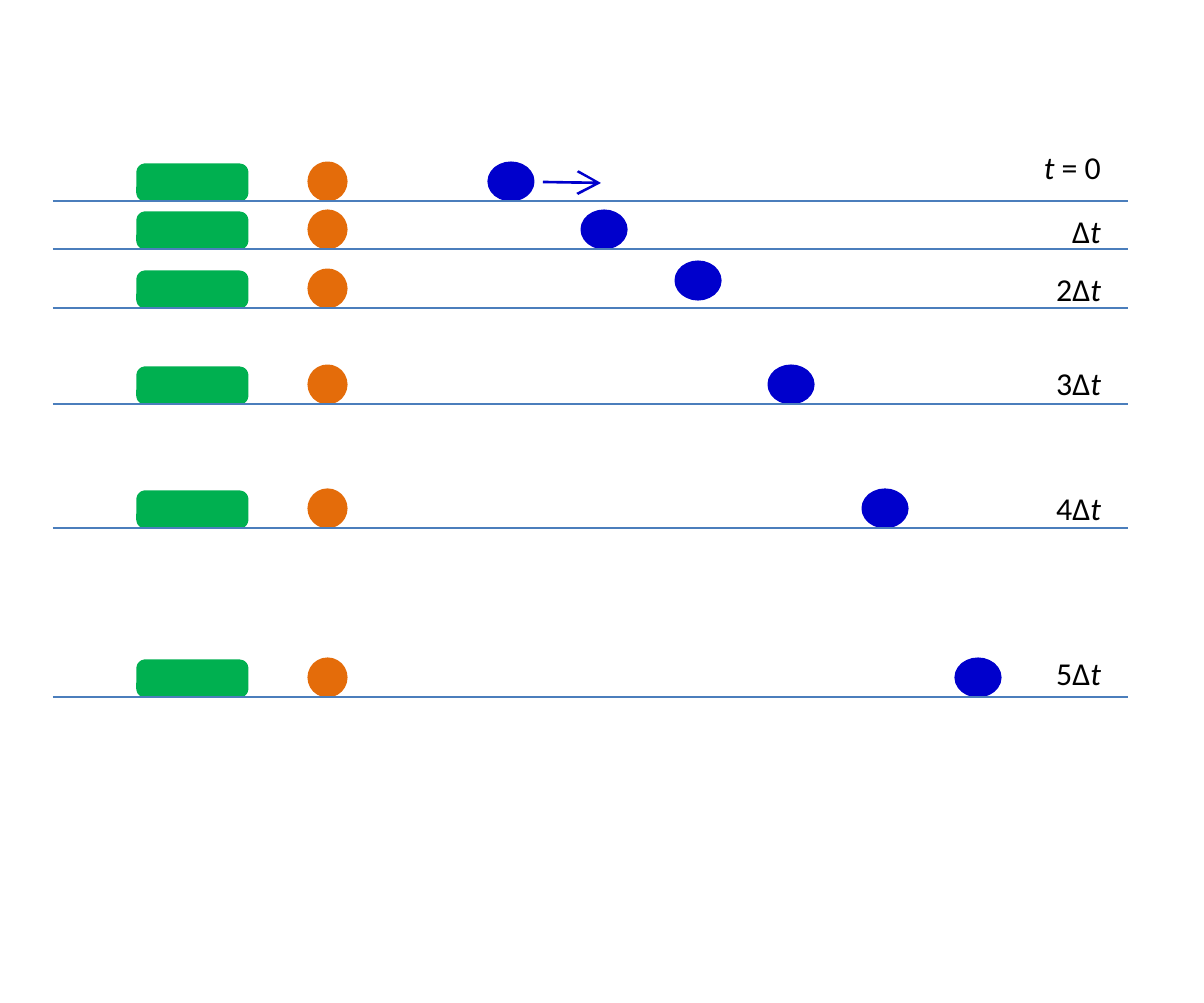
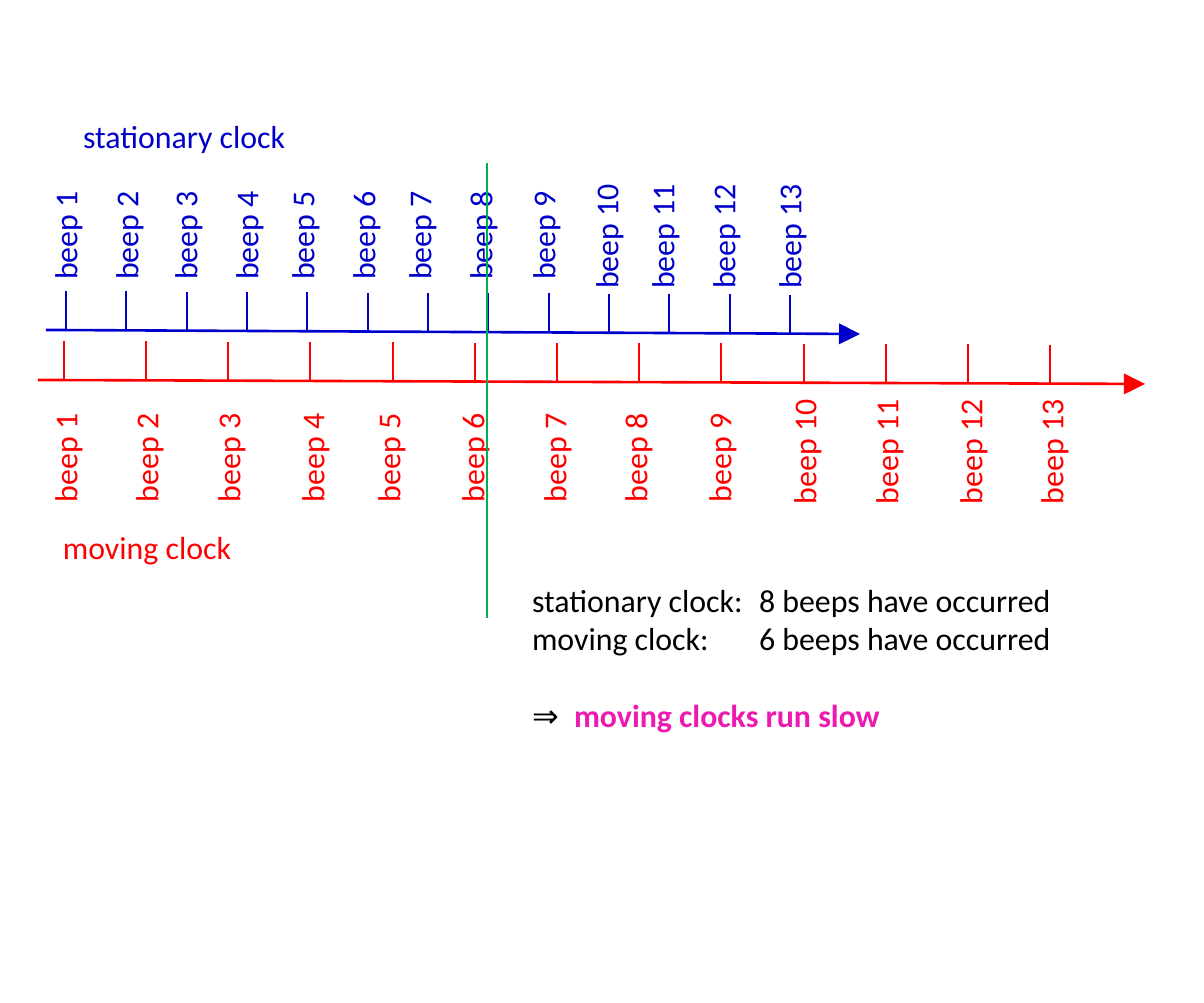
import dataclasses

import lxml.etree
import pptx
import pptx.dml.color
import pptx.enum.shapes
import pptx.enum.text
import pptx.oxml.ns
import pptx.util

SCALE = 914400 / 254.5  # EMU per pixel
SHAPE = pptx.enum.shapes.MSO_SHAPE
ALIGN = pptx.enum.text.PP_ALIGN
AUTO_SIZE = pptx.enum.text.MSO_AUTO_SIZE


@dataclasses.dataclass(frozen=True)
class Theme:
    blue: str = "0000CC"
    orange: str = "E46C0A"
    green: str = "00B050"
    floor: str = "4B7EBC"
    red: str = "FF0000"
    pink: str = "EC1AB0"
    black: str = "000000"
    font: str = "Calibri"
    text_size: float = 9
    outline: float = 2
    thin: float = 0.75


THEME = Theme()
TEXT_BOX_HEIGHT = 64

# Floor, lift of the moving ball, label top, label width, label spans
MOMENTS = [
    (201, 0, 135, 110, [("t", True), (" = 0", False)]),
    (249, 0, 199, 81, [("Δ", False), ("t", True)]),
    (308, 8, 257, 97, [("2Δ", False), ("t", True)]),
    (404, 0, 351, 97, [("3Δ", False), ("t", True)]),
    (528, 0, 476, 97, [("4Δ", False), ("t", True)]),
    (697, 0, 641, 97, [("5Δ", False), ("t", True)]),
]


@dataclasses.dataclass(frozen=True)
class Timeline:
    color: str
    start: tuple
    end: tuple
    first_tick: int
    last_tick: int
    tick_length: int
    label_centres: tuple
    short_label_y: int  # vertical centre for beeps 1 to 9
    long_label_y: int  # vertical centre from beep 10 on


STATIONARY = Timeline(
    THEME.blue, (46, 330), (860, 334), 66, 790, 39,
    (65, 126, 185, 246, 302, 363, 419, 480, 543, 606, 662, 723, 789), 235, 235)
MOVING = Timeline(
    THEME.red, (38, 380), (1145, 384), 64, 1050, 39,
    (65, 146, 228, 312, 388, 472, 554, 635, 719, 804, 886, 970, 1051), 457, 450)


def emu(pixels):
    return pptx.util.Emu(round(pixels * SCALE))


def rgb(color):
    return pptx.dml.color.RGBColor.from_string(color)


def set_values(target, values):
    for name, value in values.items():
        setattr(target, name, value)


def add_solid(page, kind, left, top, width, height, color):
    """Preset shape whose outline has the colour of its fill."""
    solid = page.shapes.add_shape(kind, *map(emu, (left, top, width, height)))
    solid.shadow.inherit = False
    solid.fill.solid()
    solid.fill.fore_color.rgb = rgb(color)
    solid.line.color.rgb = rgb(color)
    solid.line.width = pptx.util.Pt(THEME.outline)


def add_line(shapes, start, end, color, head=None):
    line = shapes.add_connector(pptx.enum.shapes.MSO_CONNECTOR.STRAIGHT,
                                *map(emu, (*start, *end)))
    line.line.color.rgb = rgb(color)
    line.line.width = pptx.util.Pt(THEME.thin)
    qn = pptx.oxml.ns.qn
    if head:
        outline = line.line._get_or_add_ln()
        lxml.etree.SubElement(outline, qn("a:tailEnd"), type=head)
    lxml.etree.SubElement(line._element.spPr, qn("a:effectLst"))


def add_span(para, text, color=THEME.black, **formats):
    span = para.add_run()
    span.text = text
    span.font.color.rgb = rgb(color)
    set_values(span.font, {"name": THEME.font,
                           "size": pptx.util.Pt(THEME.text_size), **formats})


def add_text_box(page, left, top, width, height=TEXT_BOX_HEIGHT, wrap=False):
    box = page.shapes.add_textbox(*map(emu, (left, top, width, height)))
    set_values(box.text_frame, {"word_wrap": wrap,
                                "auto_size": AUTO_SIZE.SHAPE_TO_FIT_TEXT})
    return box


def add_tab_stop(para, position):
    qn = pptx.oxml.ns.qn
    stops = lxml.etree.SubElement(para._p.get_or_add_pPr(), qn("a:tabLst"))
    lxml.etree.SubElement(stops, qn("a:tab"), pos=str(emu(position)), algn="l")


def add_moment(page, index, floor, lift, label_top, label_width, spans):
    """One instant: block and balls on a floor, with its time at the right."""
    rest = floor - 3  # the outline reaches down to the floor
    ball_left = round(491 + 93.4 * index)
    add_solid(page, SHAPE.ROUNDED_RECTANGLE, 140, rest - 31, 105, 31, THEME.green)
    add_solid(page, SHAPE.OVAL, 311, rest - 33, 33, 33, THEME.orange)
    add_solid(page, SHAPE.OVAL, ball_left, rest - 33 - lift, 40, 33, THEME.blue)
    add_line(page.shapes, (53, floor), (1128, floor), THEME.floor)

    label = add_text_box(page, 1126 - label_width, label_top, label_width)
    para = label.text_frame.paragraphs[0]
    para.alignment = ALIGN.RIGHT
    for text, italic in spans:
        add_span(para, text, italic=italic)


def add_timeline(page, timeline):
    # Axis and evenly spaced ticks
    group = page.shapes.add_group_shape()
    (left, start_y), (right, end_y) = timeline.start, timeline.end
    add_line(group.shapes, timeline.start, timeline.end, timeline.color, "triangle")
    count = len(timeline.label_centres)
    step = (timeline.last_tick - timeline.first_tick) / (count - 1)
    for index in range(count):
        x = round(timeline.first_tick + step * index)
        y = round(start_y + (end_y - start_y) * (x - left) / (right - left))
        add_line(group.shapes, (x, y), (x, y - timeline.tick_length), timeline.color)

    # Upright beep labels
    for number, centre in enumerate(timeline.label_centres, 1):
        width, y = ((140, timeline.short_label_y) if number < 10
                    else (158, timeline.long_label_y))
        label = add_text_box(page, centre - width // 2,
                             y - TEXT_BOX_HEIGHT // 2, width)
        label.rotation = 270
        add_span(label.text_frame.paragraphs[0], f"beep {number}", timeline.color)


def add_heading(page, left, top, width, text, color):
    heading = add_text_box(page, left, top, width)
    add_span(heading.text_frame.paragraphs[0], text, color)


def add_conclusion(page):
    frame = add_text_box(page, 507, 568, 583, 205, wrap=True).text_frame
    para = frame.paragraphs[0]
    for clock, beeps in (("stationary", 8), ("moving", 6)):
        add_span(para, f"{clock} clock:\t{beeps} beeps have occurred")
        add_tab_stop(para, 227)
        para = frame.add_paragraph()
    para.space_before = pptx.util.Pt(11)
    add_tab_stop(para, 42)
    add_span(para, "⇒\t")
    add_span(para, "moving clocks run slow", THEME.pink, bold=True)


def build_motion(page):
    for index, moment in enumerate(MOMENTS):
        add_moment(page, index, *moment)
    add_line(page.shapes, (543, 182), (601, 183), THEME.blue, "arrow")


def build_clocks(page):
    add_timeline(page, STATIONARY)
    add_timeline(page, MOVING)
    add_line(page.shapes, (487, 163), (487, 618), THEME.green)
    add_heading(page, 58, 104, 267, "stationary clock", THEME.blue)
    add_heading(page, 38, 515, 221, "moving clock", THEME.red)
    add_conclusion(page)


def main():
    deck = pptx.Presentation()
    set_values(deck, {"slide_width": emu(1204), "slide_height": emu(1003)})
    blank = deck.slide_layouts[6]
    for build in (build_motion, build_clocks):
        build(deck.slides.add_slide(blank))
    deck.save("out.pptx")


main()
